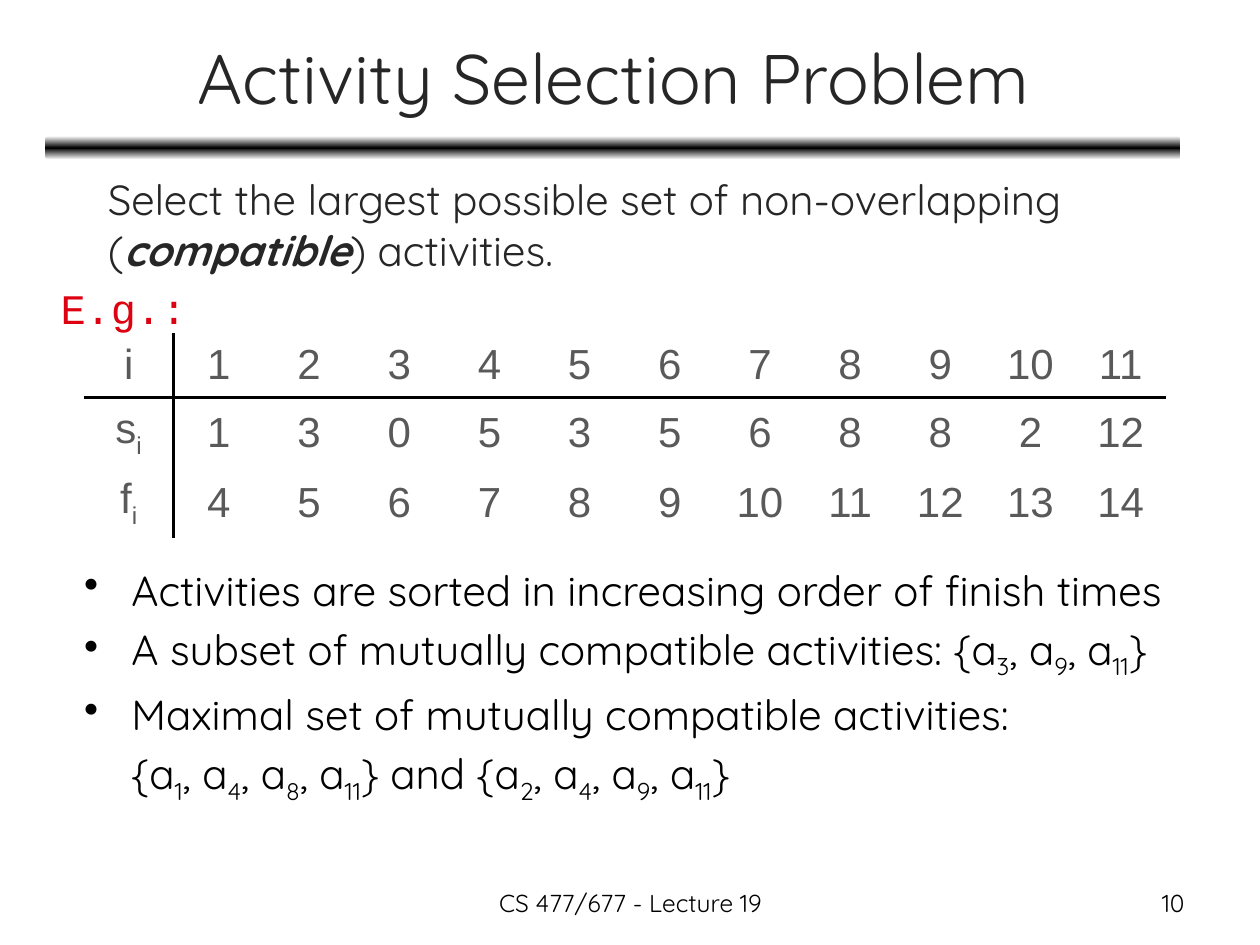
from copy import deepcopy
from dataclasses import dataclass

from pptx import Presentation
from pptx.dml.color import RGBColor
from pptx.enum.shapes import MSO_SHAPE
from pptx.enum.text import MSO_ANCHOR, PP_ALIGN
from pptx.oxml.ns import qn
from pptx.oxml.xmlchemy import OxmlElement
from pptx.util import Pt

LEFT, CENTER, RIGHT = PP_ALIGN.LEFT, PP_ALIGN.CENTER, PP_ALIGN.RIGHT
TOP, MIDDLE = MSO_ANCHOR.TOP, MSO_ANCHOR.MIDDLE
ROUNDED_BAR = MSO_SHAPE.ROUNDED_RECTANGLE

BLACK, WHITE, CHARCOAL, GRAY, RED = "000000", "FFFFFF", "262626", "595959", "DD0111"
HEADING_FONT, TABLE_FONT, CODE_FONT = "Quicksand", "Arial", "Courier New"
BODY_SIZE, SMALL_SIZE, TITLE_SIZE = 24, 14, 40
HANGING, PARAGRAPH_GAP, RULE_WIDTH = 27, 4.8, 2.25


@dataclass(frozen=True)
class Run:
    text: str
    subscript: bool = False
    emphasis: bool = False


@dataclass(frozen=True)
class Line:
    runs: tuple[Run, ...]
    color: str = BLACK
    font: str = HEADING_FONT
    size: float = BODY_SIZE
    align: PP_ALIGN = LEFT
    indent: float = 0
    bullet: bool = False


@dataclass(frozen=True)
class Box:
    left: float
    top: float
    width: float
    height: float
    lines: tuple[Line, ...]
    anchor: MSO_ANCHOR = TOP


def rgb(color: str) -> RGBColor:
    return RGBColor.from_string(color)


def activity_set(*numbers: int) -> tuple[Run, ...]:
    runs = []
    for position, number in enumerate(numbers):
        runs += [Run(", a" if position else "{a"), Run(str(number), subscript=True)]
    return (*runs, Run("}"))


def write_line(paragraph, line: Line) -> None:
    properties = paragraph._p.get_or_add_pPr()
    if line.indent:
        properties.set("marL", str(Pt(line.indent)))
    if line.bullet:
        properties.set("indent", str(-Pt(line.indent)))
        bullet = OxmlElement("a:buChar")
        bullet.set("char", "•")
        properties.append(bullet)
    paragraph.alignment = line.align
    paragraph.font.name = line.font
    paragraph.font.size = Pt(line.size)
    paragraph.font.color.rgb = rgb(line.color)
    for part in line.runs:
        run = paragraph.add_run()
        run.text = part.text
        if part.subscript:
            run._r.get_or_add_rPr().set("baseline", "-25000")
        if part.emphasis:
            run.font.bold = run.font.italic = True


def add_box(slide, box: Box) -> None:
    frame = slide.shapes.add_textbox(
        Pt(box.left), Pt(box.top), Pt(box.width), Pt(box.height)
    ).text_frame
    frame.word_wrap = True
    frame.vertical_anchor = box.anchor
    for position, line in enumerate(box.lines):
        paragraph = frame.add_paragraph() if position else frame.paragraphs[0]
        if position:
            paragraph.space_before = Pt(PARAGRAPH_GAP)
        write_line(paragraph, line)


def add_title_bar(slide) -> None:
    bar = slide.shapes.add_shape(ROUNDED_BAR, Pt(26), Pt(77.75), Pt(648.5), Pt(13.5))
    bar.shadow.inherit = False
    bar.line.fill.background()
    bar.fill.gradient()
    bar.fill.gradient_angle = 270
    stop_list = bar._element.spPr.find(qn("a:gradFill")).find(qn("a:gsLst"))
    stop_list.append(deepcopy(stop_list[0]))
    shades = (WHITE, BLACK, WHITE)
    for position, (stop, shade) in enumerate(zip(bar.fill.gradient_stops, shades)):
        stop.position = position / 2
        stop.color.rgb = rgb(shade)


def set_borders(cell, ruled_sides: str) -> None:
    properties = cell._tc.get_or_add_tcPr()
    for side in "LRTB":
        border = OxmlElement(f"a:ln{side}")
        properties.append(border)
        if side in ruled_sides:
            border.set("w", str(Pt(RULE_WIDTH)))
            fill = OxmlElement("a:solidFill")
            shade = OxmlElement("a:srgbClr")
            shade.set("val", BLACK)
            fill.append(shade)
        else:
            fill = OxmlElement("a:noFill")
        border.append(fill)


def add_schedule(slide, rows: list[tuple[tuple[Run, ...], list[int]]]) -> None:
    column_count = len(rows[0][1]) + 1
    schedule = slide.shapes.add_table(
        len(rows), column_count, Pt(47.75), Pt(190.25), Pt(618.5), Pt(111)
    ).table
    schedule.first_row = schedule.horz_banding = False
    for column in schedule.columns:
        column.width = Pt(51.54)
    for row_index, (label, values) in enumerate(rows):
        schedule.rows[row_index].height = Pt(37)
        entries = [label, *((Run(str(value)),) for value in values)]
        for column_index, runs in enumerate(entries):
            cell = schedule.cell(row_index, column_index)
            cell.vertical_anchor = MIDDLE
            set_borders(
                cell,
                {0: "R", 1: "L"}.get(column_index, "")
                + {0: "B", 1: "T"}.get(row_index, ""),
            )
            cell.fill.background()
            write_line(
                cell.text_frame.paragraphs[0],
                Line(runs, GRAY, TABLE_FONT, align=CENTER),
            )


def bullet_line(*runs: Run) -> Line:
    return Line(runs, indent=HANGING, bullet=True)


TITLE = Box(26.5, 8, 648, 71.25, (
    Line((Run("Activity Selection Problem"),), CHARCOAL, size=TITLE_SIZE, align=CENTER),
), MIDDLE)
GOAL = Box(27.5, 95.75, 635, 110, (
    Line((
        Run("Select the largest possible set of non-overlapping ("),
        Run("compatible", emphasis=True),
        Run(") activities."),
    ), CHARCOAL, indent=HANGING),
    Line((Run("E.g.:"),), RED, CODE_FONT),
))
FINDINGS = Box(41, 319, 669, 194.5, (
    bullet_line(Run("Activities are sorted in increasing order of finish times")),
    bullet_line(
        Run("A subset of mutually compatible activities: "), *activity_set(3, 9, 11)
    ),
    bullet_line(Run("Maximal set of mutually compatible activities:")),
    Line(
        (*activity_set(1, 4, 8, 11), Run(" and "), *activity_set(2, 4, 9, 11)),
        indent=HANGING,
    ),
))
FOOTER = Box(246.25, 504, 228.25, 25, (
    Line((Run("CS 477/677 - Lecture 19"),), size=SMALL_SIZE, align=CENTER),
))
PAGE_NUMBER = Box(516.25, 504, 167.75, 25, (
    Line((Run("10"),), size=SMALL_SIZE, align=RIGHT),
))
ACTIVITIES = [
    ((Run("i"),), list(range(1, 12))),
    ((Run("s"), Run("i", subscript=True)), [1, 3, 0, 5, 3, 5, 6, 8, 8, 2, 12]),
    ((Run("f"), Run("i", subscript=True)), list(range(4, 15))),
]


def main() -> None:
    presentation = Presentation()
    presentation.slide_width, presentation.slide_height = Pt(720), Pt(540)
    slide = presentation.slides.add_slide(presentation.slide_layouts[6])
    add_title_bar(slide)
    for box in (FOOTER, TITLE, GOAL, FINDINGS):
        add_box(slide, box)
    add_schedule(slide, ACTIVITIES)
    add_box(slide, PAGE_NUMBER)
    presentation.save("out.pptx")


if __name__ == "__main__":
    main()
